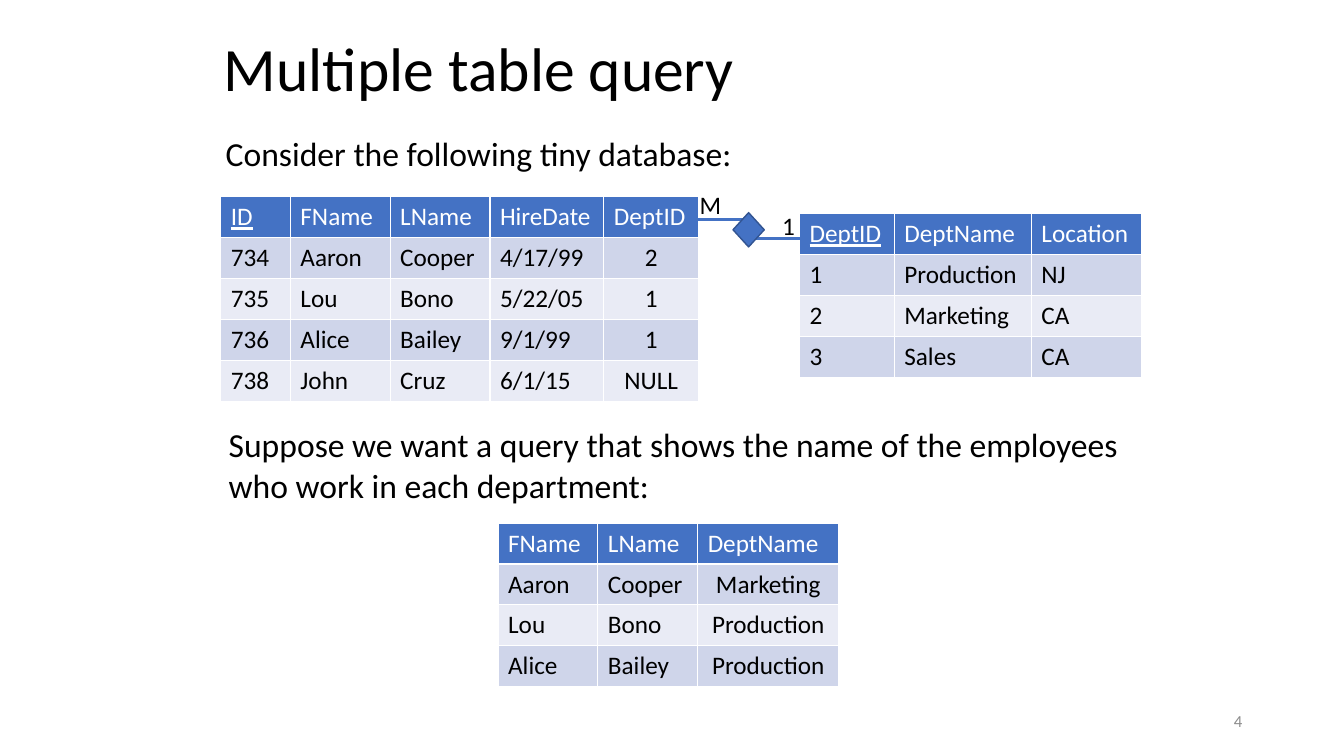
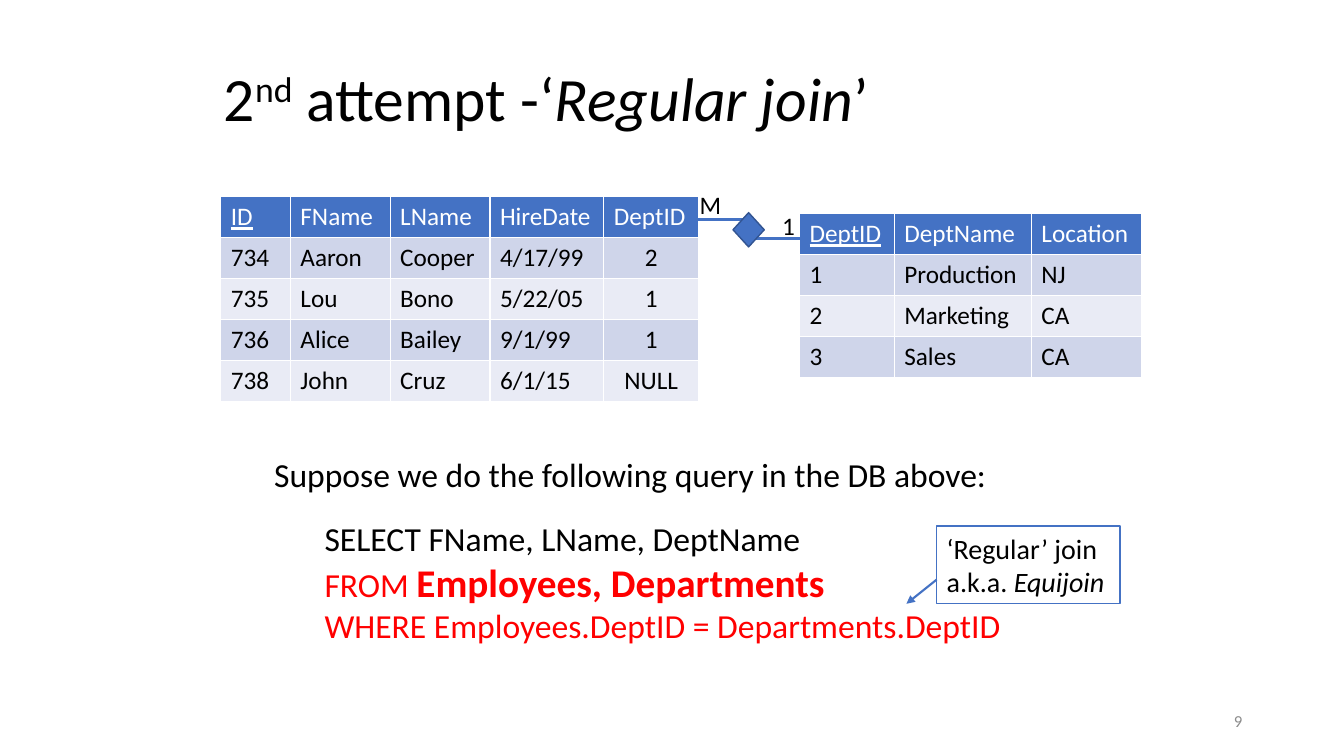
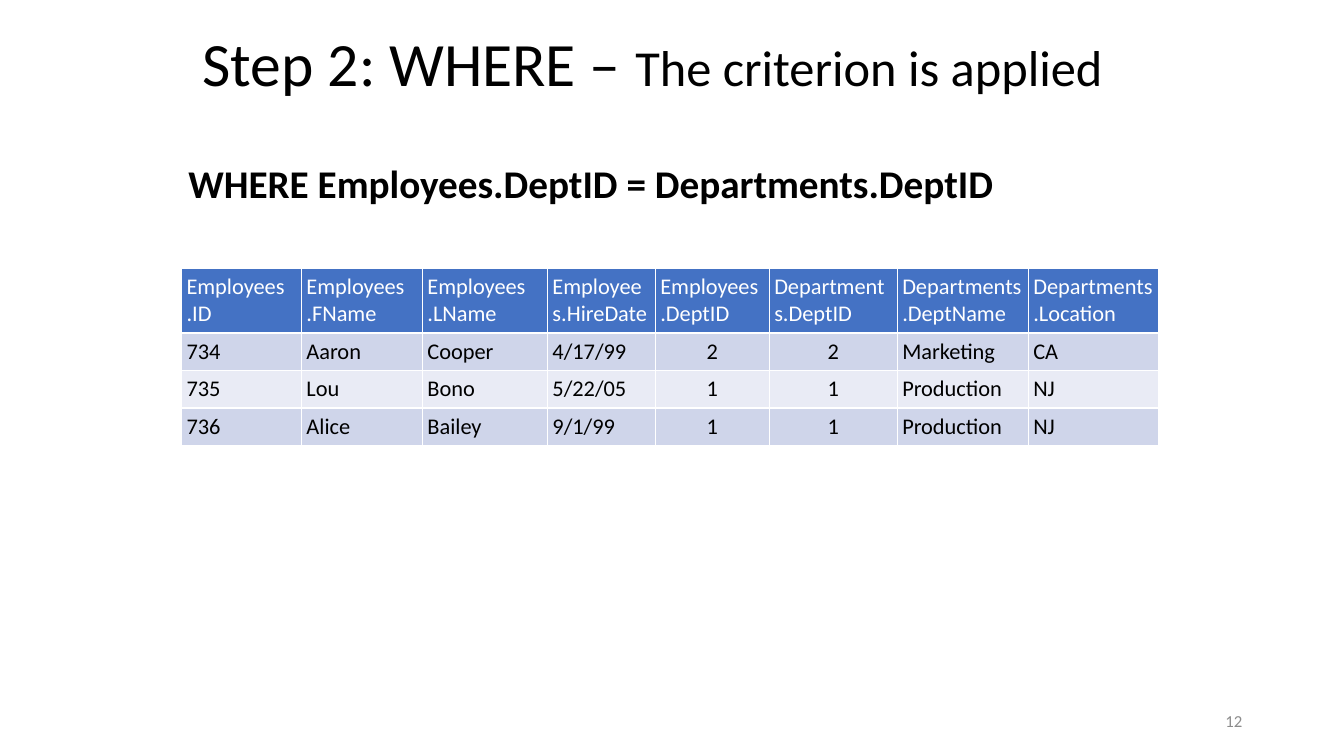
from pptx import Presentation
from pptx.dml.color import RGBColor
from pptx.enum.dml import MSO_LINE
from pptx.enum.shapes import MSO_CONNECTOR, MSO_SHAPE
from pptx.enum.text import MSO_ANCHOR, MSO_AUTO_SIZE, PP_ALIGN
from pptx.oxml.ns import qn
from pptx.util import Emu, Pt
from lxml import etree

SCALE = 9144  # EMU per px, 100 px to the inch
FONT = "Calibri"
COLORS = {
    "text": "000000", "white": "FFFFFF", "blue": "4472C4", "outline": "325491",
    "band_dark": "CFD5EA", "band_light": "E9EBF5", "red": "FF0000", "number": "8C8C8C",
}
LEFT, CENTER, RIGHT = PP_ALIGN.LEFT, PP_ALIGN.CENTER, PP_ALIGN.RIGHT
TOP, MIDDLE = MSO_ANCHOR.TOP, MSO_ANCHOR.MIDDLE
NO_FIT, GROW = MSO_AUTO_SIZE.NONE, MSO_AUTO_SIZE.SHAPE_TO_FIT_TEXT
STRAIGHT, ELBOW = MSO_CONNECTOR.STRAIGHT, MSO_CONNECTOR.ELBOW
RECTANGLE, DIAMOND = MSO_SHAPE.RECTANGLE, MSO_SHAPE.DIAMOND
SOLID = MSO_LINE.SOLID
TITLE_ONLY = 5

EMPLOYEES = [
    ["ID", "FName", "LName", "HireDate", "DeptID"],
    ["734", "Aaron", "Cooper", "4/17/99", "2"],
    ["735", "Lou", "Bono", "5/22/05", "1"],
    ["736", "Alice", "Bailey", "9/1/99", "1"],
    ["738", "John", "Cruz", "6/1/15", "NULL"],
]
DEPARTMENTS = [
    ["DeptID", "DeptName", "Location"],
    ["1", "Production", "NJ"],
    ["2", "Marketing", "CA"],
    ["3", "Sales", "CA"],
]
QUERY_RESULT = [
    ["FName", "LName", "DeptName"],
    ["Aaron", "Cooper", "Marketing"],
    ["Lou", "Bono", "Production"],
    ["Alice", "Bailey", "Production"],
]
JOINED = [
    ["Employees\n.ID", "Employees\n.FName", "Employees\n.LName", "Employees.HireDate",
     "Employees\n.DeptID", "Departments.DeptID", "Departments.DeptName",
     "Departments.Location"],
    ["734", "Aaron", "Cooper", "4/17/99", "2", "2", "Marketing", "CA"],
    ["735", "Lou", "Bono", "5/22/05", "1", "1", "Production", "NJ"],
    ["736", "Alice", "Bailey", "9/1/99", "1", "1", "Production", "NJ"],
]


def px(value):
    return Emu(round(value * SCALE))


def rgb(name):
    return RGBColor.from_string(COLORS[name])


# Text
def add_spans(para, spans, size, color="text", align=LEFT):
    """Each span is (text, changes to the paragraph's look)."""
    para.alignment = align
    for text, changes in spans:
        span = para.add_run()
        span.text = text
        font = span.font
        font.name = FONT
        font.size = Pt(changes.get("size", size))
        font.color.rgb = rgb(changes.get("color", color))
        font.bold = changes.get("bold", False)
        font.italic = changes.get("italic", False)
        font.underline = changes.get("underline", False)
        if "raised" in changes:
            font._element.set("baseline", str(changes["raised"] * 1000))


def set_frame(frame, anchor=TOP, fit=GROW):
    frame.word_wrap = True
    frame.auto_size = fit
    frame.vertical_anchor = anchor


def add_text(page, box, spans, size, color="text", align=LEFT, anchor=TOP, fit=GROW):
    frame = page.shapes.add_textbox(*map(px, box)).text_frame
    set_frame(frame, anchor, fit)
    add_spans(frame.paragraphs[0], spans, size, color, align)
    return frame


# Shapes and lines
def add_block(page, kind, box, fill, line):
    shape = page.shapes.add_shape(kind, *map(px, box))
    shape.shadow.inherit = False
    shape.fill.solid()
    shape.fill.fore_color.rgb = rgb(fill)
    shape.line.color.rgb = rgb(line)
    shape.line.width = Pt(1)
    return shape


def add_line(page, kind, ends, width, arrow=False):
    connector = page.shapes.add_connector(kind, *map(px, ends))
    connector.line.color.rgb = rgb("blue")
    connector.line.width = Pt(width)
    connector.line.dash_style = SOLID
    if arrow:
        tail = etree.SubElement(connector.line._get_or_add_ln(), qn("a:tailEnd"))
        tail.set("type", "triangle")
    etree.SubElement(connector._element.spPr, qn("a:effectLst"))


# Tables: white rules come from the default table style
def add_grid(page, box, rows, widths, centered=(), key=None, size=18,
             header_height=None, margin=None):
    left, top, width, height = box
    table = page.shapes.add_table(len(rows), len(widths), *map(px, box)).table
    for column, column_width in zip(table.columns, widths):
        column.width = px(column_width)
    header = header_height or height / len(rows)
    for index, row in enumerate(table.rows):
        row.height = px((height - header) / (len(rows) - 1) if index else header)
    for y, texts in enumerate(rows):
        band = "band_dark" if y % 2 else "band_light"
        for x, text in enumerate(texts):
            cell = table.cell(y, x)
            cell.fill.solid()
            cell.fill.fore_color.rgb = rgb(band if y else "blue")
            if margin is not None:
                cell.margin_left = cell.margin_right = px(margin)
                cell.margin_top = cell.margin_bottom = px(margin)
            look = {"underline": y == 0 and x == key}
            for number, line in enumerate(text.split("\n")):
                frame = cell.text_frame
                para = frame.add_paragraph() if number else frame.paragraphs[0]
                add_spans(para, [(line, look)], size, "text" if y else "white",
                          CENTER if y and x in centered else LEFT)


# Parts the slides share
def add_page(deck, title_box, title_spans, number):
    page = deck.slides.add_slide(deck.slide_layouts[TITLE_ONLY])
    title = page.shapes.title
    title.left, title.top, title.width, title.height = map(px, title_box)
    set_frame(title.text_frame, MIDDLE, NO_FIT)
    para = title.text_frame.paragraphs[0]
    para.line_spacing = 0.9
    add_spans(para, title_spans, 44)
    add_text(page, (942, 695, 300, 40), [(number, {})], 12, "number", RIGHT,
             MIDDLE, NO_FIT)
    return page


def add_database(page, left, top):
    """Two tables joined by a many-to-one relation."""
    add_grid(page, (left, top, 475, 203), EMPLOYEES, [69, 99, 99, 113, 94],
             centered={4}, key=0)
    add_grid(page, (left + 574, top + 17, 339, 162), DEPARTMENTS, [94, 136, 109], key=0)
    add_line(page, ELBOW, (left + 472, top + 23, left + 576, top + 42), 2.25)
    add_text(page, (left + 547, top + 9, 96, 40), [("1", {})], 18)
    add_text(page, (left + 465, top - 12, 96, 40), [("M", {})], 18)
    add_block(page, DIAMOND, (left + 508, top + 16, 31, 34), "blue", "outline")


def add_query(page, box):
    frame = add_text(page, box,
                     [("Suppose we do the following query in the DB above:", {})], 24)
    lines = [
        [("SELECT FName, LName, DeptName", {})],
        [("FROM ", {"color": "red"}),
         ("Employees, Departments", {"color": "red", "size": 28, "bold": True})],
        [("WHERE Employees.DeptID = Departments.DeptID", {"color": "red"})],
    ]
    for index, spans in enumerate(lines):
        para = frame.add_paragraph()
        para._p.get_or_add_pPr().set("marL", str(px(50)))
        if index == 0:
            para.space_before = Pt(17)
        add_spans(para, spans, 24)


def add_callout(page, box):
    left, top, width, height = box
    note = add_block(page, RECTANGLE, box, "white", "blue")
    set_frame(note.text_frame)
    add_spans(note.text_frame.paragraphs[0],
              [("‘Regular’ join a.k.a. ", {}), ("Equijoin", {"italic": True})], 20)
    add_line(page, STRAIGHT, (left, top + 53, left - 30, top + 77), 1.5, arrow=True)


# Slides
def build_query_goal(deck):
    page = add_page(deck, (212, 19, 924, 103), [("Multiple table query", {})], "4")
    add_database(page, 219, 195)
    add_text(page, (217, 416, 913, 91),
             [("Suppose we want a query that shows the name of the employees "
               "who work in each department:", {})], 24)
    add_text(page, (214, 127, 795, 50),
             [("Consider the following tiny database:", {})], 24)
    add_grid(page, (494, 519, 339, 162), QUERY_RESULT, [99, 99, 140], centered={2})


def build_regular_join(deck):
    title = [("2", {}), ("nd", {"raised": 30}), (" attempt -‘", {}),
             ("Regular join", {"italic": True}), ("’", {})]
    page = add_page(deck, (212, 19, 924, 163), title, "9")
    add_database(page, 219, 195)
    add_query(page, (262, 445, 795, 202))
    add_callout(page, (929, 522, 182, 77))


def build_where_step(deck):
    title = [("Step 2: WHERE – ", {}), ("The criterion is applied", {"size": 36})]
    page = add_page(deck, (191, 20, 958, 92), title, "12")
    add_grid(page, (180, 266, 968, 175), JOINED,
             [119, 120, 124, 107, 113, 127, 130, 129], centered={4, 5}, size=16,
             header_height=64, margin=5)
    add_text(page, (177, 153, 861, 57),
             [("WHERE Employees.DeptID = Departments.DeptID", {"bold": True})], 28)


def main():
    deck = Presentation()
    deck.slide_width, deck.slide_height = px(1333), px(750)
    build_query_goal(deck)
    build_regular_join(deck)
    build_where_step(deck)
    deck.save("out.pptx")


if __name__ == "__main__":
    main()
